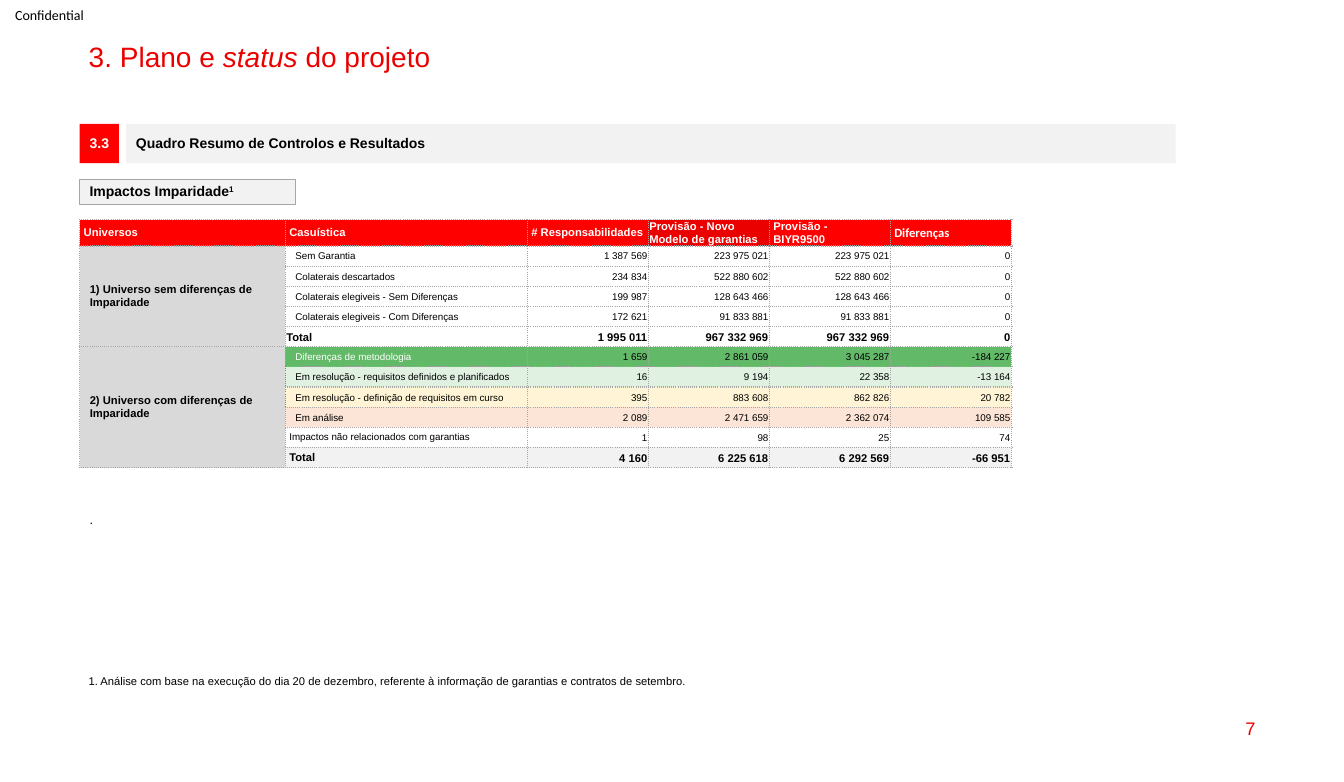
from lxml import etree
from pptx import Presentation
from pptx.dml.color import RGBColor
from pptx.enum.shapes import MSO_SHAPE
from pptx.enum.text import MSO_ANCHOR as ANCHOR, MSO_AUTO_SIZE as AUTO_SIZE, PP_ALIGN as ALIGN
from pptx.oxml.ns import qn
from pptx.util import Inches, Pt

COLORS = {
    "black": "000000", "white": "FFFFFF", "title red": "EB0000", "red": "FF0000",
    "light grey": "F2F2F2", "mid grey": "D9D9D9", "border": "A6A6A6", "dark border": "808080",
    "green": "62B967", "pale green": "E0F1E1", "yellow": "FFF5D6", "orange": "FCE4D6",
}


def color(name):
    return RGBColor.from_string(COLORS[name])


def write(paragraph, text, size, color_name="black", align=ALIGN.LEFT, **formats):
    """Add a formatted run to the paragraph; formats are further font attributes."""
    paragraph.alignment = align
    run = paragraph.add_run()
    run.text = text
    run.font.color.rgb = color(color_name)
    for name, value in {"size": Pt(size), "name": "Arial", "bold": False, **formats}.items():
        setattr(run.font, name, value)
    return run


presentation = Presentation()
presentation.slide_width, presentation.slide_height = Inches(13.33), Inches(7.76)
slide = presentation.slides.add_slide(presentation.slide_layouts[5])

# Title
title = slide.shapes.title
title.left, title.top, title.width, title.height = map(Inches, (0.78, 0.38, 11.77, 0.34))
title.text_frame.auto_size = AUTO_SIZE.NONE
title.text_frame.vertical_anchor = ANCHOR.TOP
heading = title.text_frame.paragraphs[0]
heading.line_spacing = 0.9
for text, italic in (("3. Plano e ", False), ("status", True), (" do projeto", False)):
    write(heading, text, 20, "title red", italic=italic)

# Section bars
bars = [
    ("3.3", (0.79, 1.23, 0.39, 0.39), "red", "white", ALIGN.CENTER, None),
    ("Quadro Resumo de Controlos e Resultados", (1.25, 1.23, 10.41, 0.39),
     "light grey", "black", ALIGN.LEFT, None),
    ("Impactos Imparidade", (0.79, 1.78, 2.14, 0.25), "light grey", "black", ALIGN.LEFT, "border"),
]
for text, place, fill, text_color, align, outline in bars:
    bar = slide.shapes.add_shape(MSO_SHAPE.RECTANGLE, *map(Inches, place))
    bar.shadow.inherit = False
    bar.fill.solid()
    bar.fill.fore_color.rgb = color(fill)
    if outline:
        bar.line.color.rgb = color(outline)
        bar.line.width = Pt(0.75)
    else:
        bar.line.fill.background()
    bar.text_frame.vertical_anchor = ANCHOR.MIDDLE
    paragraph = bar.text_frame.paragraphs[0]
    paragraph.line_spacing = 0.9
    write(paragraph, text, 10, text_color, align, bold=True)
footnote_mark = write(paragraph, "1", 10, bold=True)
footnote_mark.font._element.set("baseline", "30000")

# Results table
headers = ["Universos", "Casuística", "# Responsabilidades",
           "Provisão - Novo Modelo de garantias", "Provisão -\nBIYR9500", "Diferenças"]
universes = {1: ("1) Universo sem diferenças de Imparidade", 5),
             6: ("2) Universo com diferenças de Imparidade", 6)}
# Label, left inset, fill, figures
cases = [
    ("Sem Garantia", 0.1, None, ["1 387 569", "223 975 021", "223 975 021", "0"]),
    ("Colaterais descartados", 0.1, None, ["234 834", "522 880 602", "522 880 602", "0"]),
    ("Colaterais elegiveis - Sem Diferenças", 0.1, None,
     ["199 987", "128 643 466", "128 643 466", "0"]),
    ("Colaterais elegiveis - Com Diferenças", 0.1, None,
     ["172 621", "91 833 881", "91 833 881", "0"]),
    ("Total", 0.01, None, ["1 995 011", "967 332 969", "967 332 969", "0"]),
    ("Diferenças de metodologia", 0.1, "green", ["1 659", "2 861 059", "3 045 287", "-184 227"]),
    ("Em resolução - requisitos definidos e planificados", 0.1, "pale green",
     ["16", "9 194", "22 358", "-13 164"]),
    ("Em resolução - definição de requisitos em curso", 0.1, "yellow",
     ["395", "883 608", "862 826", "20 782"]),
    ("Em análise", 0.1, "orange", ["2 089", "2 471 659", "2 362 074", "109 585"]),
    ("Impactos não relacionados com garantias", 0.04, None, ["1", "98", "25", "74"]),
    ("Total", 0.04, "light grey", ["4 160", "6 225 618", "6 292 569", "-66 951"]),
]
table = slide.shapes.add_table(len(cases) + 1, len(headers), Inches(0.79), Inches(2.18),
                               Inches(9.24), Inches(2.44)).table
table.first_row = table.horz_banding = False
for column, width in zip(table.columns, [2.04, 2.4] + [1.2] * 4):
    column.width = Inches(width)
for row, height in zip(table.rows, [0.26] + [0.2] * len(cases)):
    row.height = Inches(height)

for row in range(len(cases) + 1):
    for column in range(len(headers)):
        cell = table.cell(row, column)
        cell.vertical_anchor = ANCHOR.MIDDLE
        paragraph = cell.text_frame.paragraphs[0]
        insets = (0.01, 0.01, 0.01, 0)
        if row == 0:
            fill = "title red" if column == 3 else "red"
            if column != 3:
                insets = (0.04, 0, 0.04, 0)
            size, font_name = (9, "Calibri") if column == 5 else (8, "Arial")
            for index, line in enumerate(headers[column].split("\n")):
                if index:
                    paragraph = cell.text_frame.add_paragraph()
                write(paragraph, line, size, "white", bold=True, name=font_name)
        elif column == 0:
            fill, insets = "mid grey", (0.1, 0.05, 0.1, 0.05)
            if row in universes:
                write(paragraph, universes[row][0], 8, bold=True)
        else:
            label, left_inset, fill, figures = cases[row - 1]
            is_total = label == "Total"
            size = 8 if is_total else 7
            if column == 1:
                insets = (0.04, 0, 0.04, 0) if left_inset == 0.04 else (left_inset, 0.01, 0.01, 0)
                write(paragraph, label, size, "white" if fill == "green" else "black", bold=is_total)
            else:
                write(paragraph, figures[column - 2], size, align=ALIGN.RIGHT, bold=is_total)
        for side, inset in zip(("left", "top", "right", "bottom"), insets):
            setattr(cell, f"margin_{side}", Inches(inset))

        cell_properties = cell._tc.get_or_add_tcPr()
        for side in "LRTB":
            dark = side == "L" and column == 1 and fill in ("pale green", "yellow")
            line = etree.SubElement(cell_properties, qn(f"a:ln{side}"), w=str(Pt(1)))
            line_fill = etree.SubElement(line, qn("a:solidFill"))
            etree.SubElement(line_fill, qn("a:srgbClr"), val=COLORS["dark border" if dark else "border"])
            etree.SubElement(line, qn("a:prstDash"), val="sysDot")
        if fill:
            cell.fill.solid()
            cell.fill.fore_color.rgb = color(fill)
        else:
            cell.fill.background()
for row, (universe, count) in universes.items():
    table.cell(row, 0).merge(table.cell(row + count - 1, 0))

# Marking, notes and page number
middle = {"vertical_anchor": ANCHOR.MIDDLE}
marking_margins = {"margin_left": Inches(0.15), "margin_top": 0, "margin_right": 0, "margin_bottom": 0}
texts = [
    ("Confidential", (0, 0, 0.99, 0.29), 10, "black", ALIGN.LEFT, "Calibri",
     {**middle, **marking_margins}),
    ("7", (9.55, 7.02, 3, 0.41), 13, "title red", ALIGN.RIGHT, "Arial", middle),
    ("1. Análise com base na execução do dia 20 de dezembro, referente à informação de "
     "garantias e contratos de setembro.", (0.78, 6.64, 6.21, 0.24), 8, "black", ALIGN.LEFT,
     "Arial", {"word_wrap": False, "auto_size": AUTO_SIZE.SHAPE_TO_FIT_TEXT}),
    (".", (0.79, 5.03, 10.55, 1.5), 9, "black", ALIGN.LEFT, "Arial", {}),
]
for text, place, size, text_color, align, font_name, frame_formats in texts:
    frame = slide.shapes.add_textbox(*map(Inches, place)).text_frame
    for name, value in {"word_wrap": True, **frame_formats}.items():
        setattr(frame, name, value)
    write(frame.paragraphs[0], text, size, text_color, align, name=font_name)

presentation.save("out.pptx")
